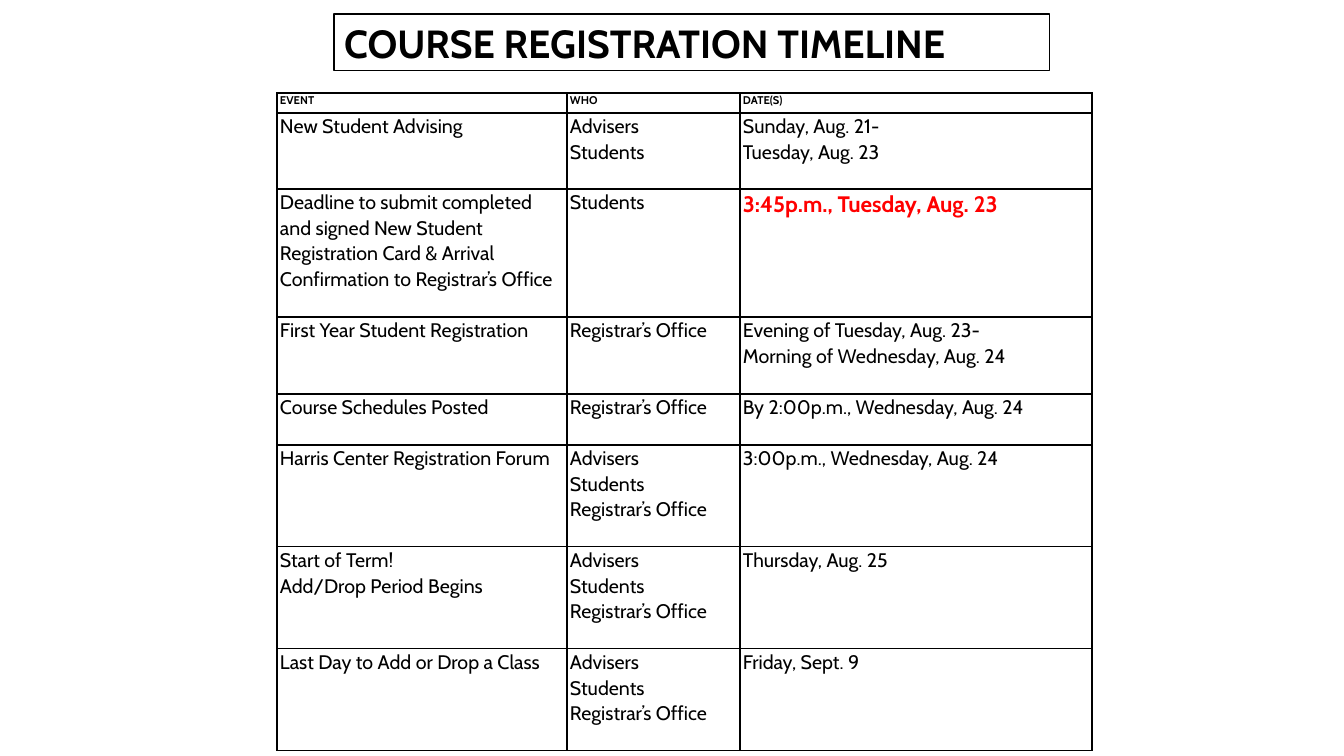
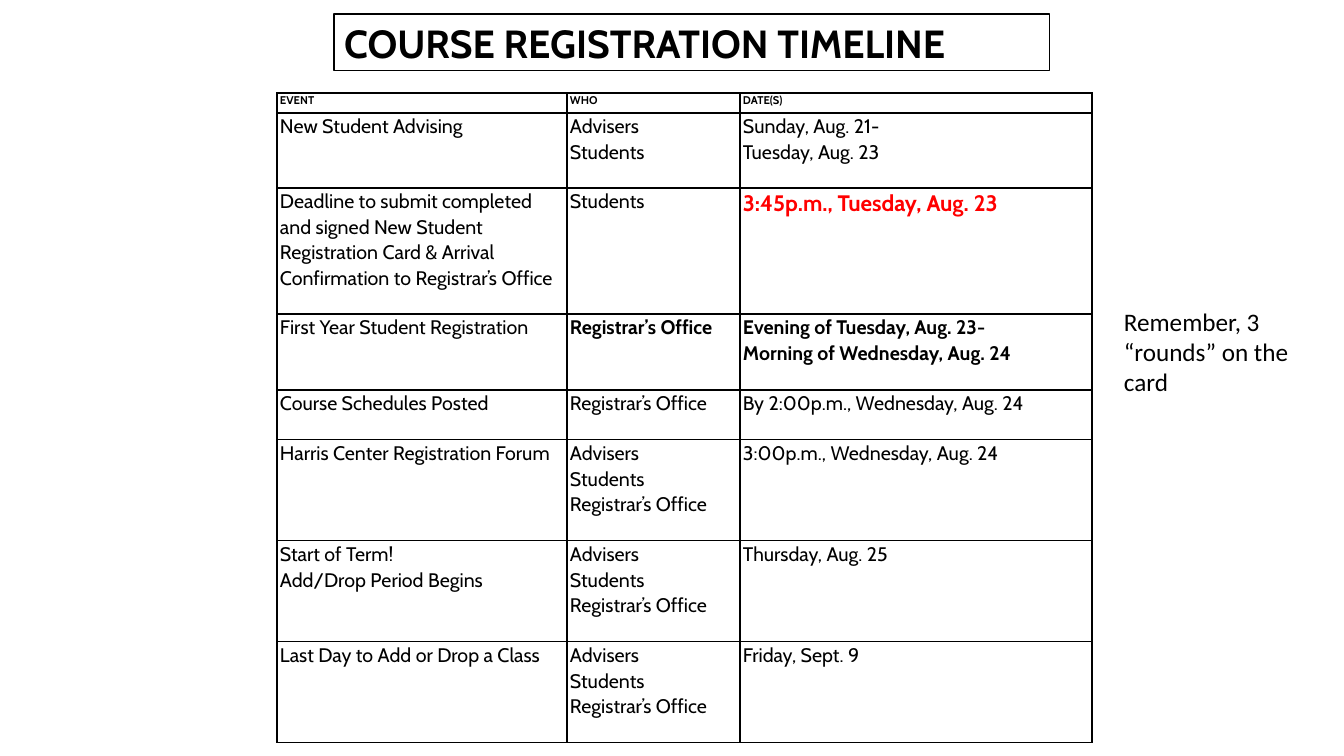
from copy import deepcopy
from functools import partial

from lxml.etree import SubElement
from pptx import Presentation
from pptx.dml.color import RGBColor
from pptx.enum.text import MSO_ANCHOR as Anchor, MSO_AUTO_SIZE as AutoSize, PP_ALIGN as Align
from pptx.oxml.ns import qn
from pptx.util import Emu, Pt

BLACK = RGBColor(0x00, 0x00, 0x00)
RED = RGBColor(0xFF, 0x00, 0x00)
EMU_PER_PX = 914400 / 100.8
TITLE_ONLY = 5

SLIDE_SIZE = (1344, 756)
TITLE_BOX = (334, 14, 716, 57)
TABLE_CORNER = (277, 93)
COLUMN_WIDTHS = (290, 173, 352)
HEADER_HEIGHT = 20
NOTE_BOX = (1114, 301, 201, 102)
CELL_INSET = 3

TITLE_FONT = dict(name="Cabin", size=Pt(28), bold=True)
HEADER_FONT = dict(name="Cabin", size=Pt(8), bold=True)
BODY_FONT = dict(name="Cabin", size=Pt(14), bold=False)
STRONG_FONT = BODY_FONT | dict(bold=True)
DEADLINE_FONT = dict(name="Cabin", size=Pt(16), bold=True)
NOTE_FONT = dict(name="Calibri", size=Pt(18), bold=False)

ALL_STAFF = "Advisers\nStudents\nRegistrar’s Office"
TIMELINE = [
    ("EVENT", "WHO", "DATE(S)"),
    ("New Student Advising", "Advisers\nStudents", "Sunday, Aug. 21-\nTuesday, Aug. 23"),
    ("Deadline to submit completed and signed New Student Registration Card "
     "& Arrival Confirmation to Registrar’s Office",
     "Students", "3:45p.m., Tuesday, Aug. 23"),
    ("First Year Student Registration", "Registrar’s Office",
     "Evening of Tuesday, Aug. 23-\nMorning of Wednesday, Aug. 24"),
    ("Course Schedules Posted", "Registrar’s Office", "By 2:00p.m., Wednesday, Aug. 24"),
    ("Harris Center Registration Forum", ALL_STAFF, "3:00p.m., Wednesday, Aug. 24"),
    ("Start of Term!\nAdd/Drop Period Begins", ALL_STAFF, "Thursday, Aug. 25"),
    ("Last Day to Add or Drop a Class", ALL_STAFF, "Friday, Sept. 9"),
]
DEADLINE_CELL = (2, 2)
REGISTRATION_CELLS = {(3, 1), (3, 2)}


def px(length):
    """Turn pixels into EMU."""
    return Emu(round(length * EMU_PER_PX))


def apply(target, values):
    """Set each attribute named in a dict of format values."""
    for attribute, value in values.items():
        setattr(target, attribute, value)


def write(frame, text, font, color=BLACK, **paragraph_format):
    """Write one paragraph, its line breaks sized like its words."""
    paragraph = frame.paragraphs[0]
    paragraph.text = text
    apply(paragraph, paragraph_format)
    for run in paragraph.runs:
        apply(run.font, font)
        run.font.color.rgb = color
    for line_break in paragraph._p.findall(qn("a:br")):
        line_break.insert(0, deepcopy(paragraph.runs[0]._r.rPr))


def add_title(slide, box):
    """Place the outlined title."""
    title = slide.shapes.title
    apply(title, dict(zip(("left", "top", "width", "height"), map(px, box))))
    title.line.color.rgb = BLACK
    title.line.width = Pt(0.75)
    apply(title.text_frame, dict(auto_size=AutoSize.NONE, word_wrap=False,
                                 vertical_anchor=Anchor.TOP))
    write(title.text_frame, "COURSE REGISTRATION TIMELINE", TITLE_FONT, alignment=Align.LEFT)


def add_borders(cell):
    """Rule all four sides of a cell."""
    properties = cell._tc.get_or_add_tcPr()
    for position, side in enumerate(("lnL", "lnR", "lnT", "lnB")):
        border = properties.makeelement(qn(f"a:{side}"), {"w": str(Pt(1))})
        fill = SubElement(border, qn("a:solidFill"))
        SubElement(fill, qn("a:srgbClr"), val=str(BLACK))
        properties.insert(position, border)


def cell_writer(place, strong_cells):
    """Choose how the cell at a row and column is written."""
    if place[0] == 0:
        return partial(write, font=HEADER_FONT)
    if place == DEADLINE_CELL:
        return partial(write, font=DEADLINE_FONT, color=RED)
    return partial(write, font=STRONG_FONT if place in strong_cells else BODY_FONT)


def add_timeline(slide, corner, event_heights, strong_cells):
    """Build the timeline table from its top left corner."""
    heights = (HEADER_HEIGHT, *event_heights)
    frame = slide.shapes.add_table(len(TIMELINE), len(COLUMN_WIDTHS), *map(px, corner),
                                   px(sum(COLUMN_WIDTHS)), px(sum(heights)))
    timeline = frame.table
    apply(timeline, dict(first_row=False, horz_banding=False))
    for column, width in zip(timeline.columns, COLUMN_WIDTHS):
        column.width = px(width)
    for row_index, (row, height, texts) in enumerate(zip(timeline.rows, heights, TIMELINE)):
        row.height = px(height)
        for column_index, (cell, text) in enumerate(zip(row.cells, texts)):
            apply(cell, dict(margin_left=px(CELL_INSET), margin_right=px(CELL_INSET),
                             margin_top=0, margin_bottom=0))
            cell.fill.background()
            add_borders(cell)
            write_cell = cell_writer((row_index, column_index), strong_cells)
            write_cell(cell.text_frame, text, line_spacing=1.07)


def add_note(slide, box, text):
    """Place a side note beside the table."""
    note = slide.shapes.add_textbox(*map(px, box)).text_frame
    note.word_wrap = True
    write(note, text, NOTE_FONT)


def add_timeline_slide(deck, event_heights, strong_cells=frozenset(), note=None):
    """Add a titled timeline slide, with a side note if one is given."""
    slide = deck.slides.add_slide(deck.slide_layouts[TITLE_ONLY])
    add_timeline(slide, TABLE_CORNER, event_heights, strong_cells)
    add_title(slide, TITLE_BOX)
    if note:
        add_note(slide, NOTE_BOX, note)


deck = Presentation()
deck.slide_width, deck.slide_height = map(px, SLIDE_SIZE)
add_timeline_slide(deck, (76, 128, 77, 51, 102, 102, 102))
add_timeline_slide(deck, (75, 126, 76, 50, 101, 101, 101), REGISTRATION_CELLS,
                   "Remember, 3 “rounds” on the card")
deck.save("out.pptx")
